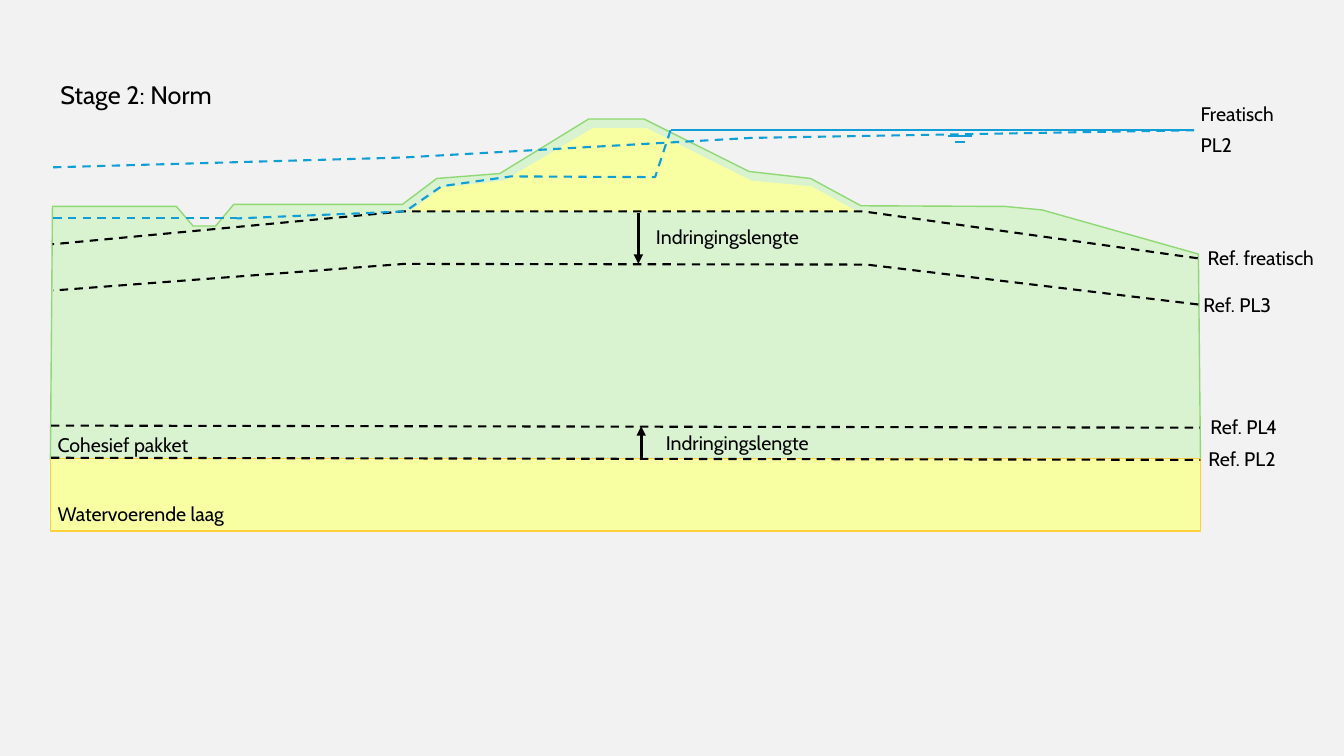
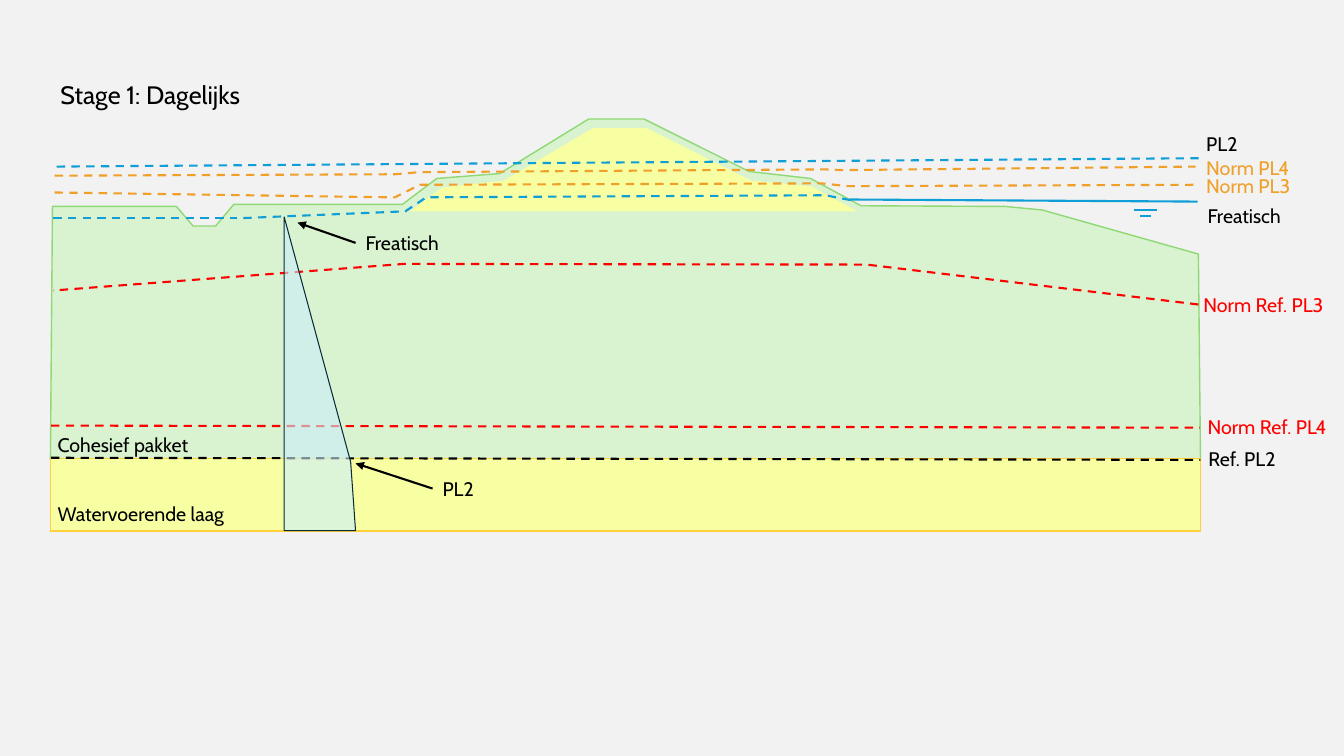
import lxml.etree
import pptx
import pptx.dml.color
import pptx.enum.dml
import pptx.enum.shapes
import pptx.enum.text
import pptx.oxml.ns
import pptx.util

Pt = pptx.util.Pt
RGBColor = pptx.dml.color.RGBColor
qn = pptx.oxml.ns.qn

FONT = "Cabin"
BACKGROUND = RGBColor(0xF2, 0xF2, 0xF2)
BLACK = RGBColor(0x00, 0x00, 0x00)
RED = RGBColor(0xFF, 0x00, 0x00)
ORANGE = RGBColor(0xF0, 0x9F, 0x28)
WATER = RGBColor(0x0F, 0x9E, 0xD5)
CLAY = RGBColor(0xD9, 0xF2, 0xD0)
CLAY_EDGE = RGBColor(0x8E, 0xD9, 0x73)
SAND = RGBColor(0xF8, 0xFF, 0xA3)
SAND_EDGE = RGBColor(0xFF, 0xD0, 0x3B)
PRESSURE = RGBColor(0xCA, 0xEE, 0xFB)
PRESSURE_EDGE = RGBColor(0x09, 0x2A, 0x39)

GROUND = [
    (36, 328.5), (857.5, 328.5), (856, 181.5), (744.5, 150), (718, 147.5),
    (615, 147), (579, 127.5), (535, 122.5), (460, 85), (420.5, 85),
    (357, 124), (312, 127.5), (287.5, 146), (167, 146), (154, 161.5),
    (138, 161.5), (126, 147.5), (37.5, 147.5),
]
DIKE_CORE = [
    (423.5, 91.5), (462, 91.5), (536.5, 129), (579.5, 133),
    (612.5, 151), (293, 151), (315.5, 134), (360, 129),
]
REF_FREATISCH = [(855.5, 184.5), (616.5, 151), (288, 151), (37.5, 174.5)]
REF_PL3 = [(856, 217.5), (619, 189), (288.5, 188.5), (38, 207.5)]
REF_PL4 = [(36.5, 304), (857, 305.5)]
REF_PL2 = [(36.5, 327), (857.5, 328.5)]
DITCH_LEVEL = [(38, 155.5), (169, 155.5)]

NORM_FREATISCH = [
    (479, 93), (468, 126.5), (365, 126), (315.5, 133), (289.5, 151), (169, 156),
]
NORM_PL2 = [(853, 93), (536.5, 98.5), (288, 112.5), (38, 119.5)]

DAILY_FREATISCH = [
    (607.5, 143), (589.5, 139.5), (304.5, 141), (289.5, 151), (169, 156),
]
DAILY_PL2 = [(40.5, 119), (857.5, 113)]
DAILY_NORM_PL3 = [
    (39, 137.5), (282, 141), (300, 132), (587, 131), (605.5, 133), (855.5, 132),
]
DAILY_NORM_PL4 = [
    (39, 125.5), (282, 124.5), (299.5, 123), (589, 121), (602, 121.5), (854, 119),
]
PRESSURE_WEDGE = [(203, 379), (203, 155), (250.5, 330), (254, 379)]


def add_text(slide, text, left, top, width=101.5, height=24.5, size=14,
             color=BLACK, wrap=True):
    box = slide.shapes.add_textbox(Pt(left), Pt(top), Pt(width), Pt(height))
    frame = box.text_frame
    frame.word_wrap = wrap
    frame.auto_size = pptx.enum.text.MSO_AUTO_SIZE.SHAPE_TO_FIT_TEXT
    run = frame.paragraphs[0].add_run()
    run.text = text
    run.font.name = FONT
    run.font.size = Pt(size)
    run.font.color.rgb = color


def format_line(line, color, weight, dashed=False):
    line.color.rgb = color
    line.width = Pt(weight)
    if dashed:
        line.dash_style = pptx.enum.dml.MSO_LINE.DASH


def format_area(shape, fill, edge=None, weight=1, opacity=100):
    shape.shadow.inherit = False
    shape.fill.solid()
    shape.fill.fore_color.rgb = fill
    if opacity < 100:
        color = shape.element.spPr.find(qn("a:solidFill"))[0]
        lxml.etree.SubElement(color, qn("a:alpha"), val=str(opacity * 1000))
    if edge is None:
        shape.line.fill.background()
    else:
        format_line(shape.line, edge, weight)


def build_outline(slide, points, close):
    scaled = [(Pt(x), Pt(y)) for x, y in points]
    builder = slide.shapes.build_freeform(*scaled[0], scale=1.0)
    builder.add_line_segments(scaled[1:], close=close)
    return builder.convert_to_shape()


def add_area(slide, points, fill, edge=None, weight=1, opacity=100):
    shape = build_outline(slide, points, True)
    format_area(shape, fill, edge, weight, opacity)


def add_polyline(slide, points, color):
    shape = build_outline(slide, points, False)
    shape.shadow.inherit = False
    shape.fill.background()
    format_line(shape.line, color, 1.5, dashed=True)


def add_line(slide, points, color=BLACK, weight=1.5, dashed=False, arrow=False):
    (x1, y1), (x2, y2) = points
    connector = slide.shapes.add_connector(
        pptx.enum.shapes.MSO_CONNECTOR.STRAIGHT, Pt(x1), Pt(y1), Pt(x2), Pt(y2))
    format_line(connector.line, color, weight, dashed)
    properties = connector.element.spPr
    if arrow:
        outline = properties.find(qn("a:ln"))
        lxml.etree.SubElement(outline, qn("a:tailEnd"), type="triangle")
    lxml.etree.SubElement(properties, qn("a:effectLst"))


def add_water_mark(slide, left, top):
    add_line(slide, [(left, top), (left + 16.5, top)], WATER)
    add_line(slide, [(left + 4.5, top + 4.5), (left + 12, top + 4.5)], WATER)


def add_cross_section(presentation, title, ref_color):
    slide = presentation.slides.add_slide(presentation.slide_layouts[6])
    add_area(slide, GROUND, CLAY, CLAY_EDGE)
    aquifer = slide.shapes.add_shape(
        pptx.enum.shapes.MSO_SHAPE.RECTANGLE,
        Pt(36), Pt(327.5), Pt(821.5), Pt(52))
    format_area(aquifer, SAND, SAND_EDGE)
    add_area(slide, DIKE_CORE, SAND)
    add_line(slide, REF_PL2, dashed=True)
    add_line(slide, REF_PL4, ref_color, dashed=True)
    add_polyline(slide, REF_PL3, ref_color)
    add_line(slide, DITCH_LEVEL, WATER, dashed=True)
    add_text(slide, title, 36, 53, width=152, height=29, size=18, wrap=False)
    add_text(slide, "Ref. PL2", 856, 315.5)
    add_text(slide, "Watervoerende laag", 34, 355, width=137.5)
    add_text(slide, "Cohesief pakket", 34, 305.5, width=137.5)
    return slide


def add_norm_slide(presentation):
    slide = add_cross_section(presentation, "Stage 2: Norm", BLACK)
    add_polyline(slide, REF_FREATISCH, BLACK)
    add_line(slide, [(456, 152), (456, 188.5)], weight=2.25, arrow=True)
    add_line(slide, [(458, 327.5), (458, 304.5)], weight=2.25, arrow=True)
    add_line(slide, [(479, 93), (853, 93)], WATER)
    add_water_mark(slide, 677.5, 97)
    add_polyline(slide, NORM_PL2, WATER)
    add_polyline(slide, NORM_FREATISCH, WATER)
    for text, left, top in [
        ("Freatisch", 850.5, 69),
        ("PL2", 850.5, 91.5),
        ("Ref. freatisch", 855.5, 172),
        ("Ref. PL3", 852.5, 206),
        ("Ref. PL4", 857.5, 292.5),
    ]:
        add_text(slide, text, left, top)
    for left, top in [(461.5, 157), (468.5, 304.5)]:
        add_text(slide, "Indringingslengte", left, top, width=124.5)


def add_daily_slide(presentation):
    slide = add_cross_section(presentation, "Stage 1: Dagelijks", RED)
    add_line(slide, [(607, 142.5), (855.5, 144)], WATER)
    add_water_mark(slide, 810, 150)
    add_polyline(slide, DAILY_FREATISCH, WATER)
    add_line(slide, DAILY_PL2, WATER, dashed=True)
    add_area(slide, PRESSURE_WEDGE, PRESSURE, PRESSURE_EDGE, 0.75, opacity=60)
    add_line(slide, [(254, 173.5), (212.5, 159)], arrow=True)
    add_line(slide, [(309, 349), (254, 331)], arrow=True)
    add_polyline(slide, DAILY_NORM_PL3, ORANGE)
    add_polyline(slide, DAILY_NORM_PL4, ORANGE)
    for text, left, top, color in [
        ("PL2", 854.5, 90.5, BLACK),
        ("Norm PL4", 854.5, 108, ORANGE),
        ("Norm PL3", 854.5, 121, ORANGE),
        ("Freatisch", 855.5, 142, BLACK),
        ("Norm Ref. PL3", 852.5, 206, RED),
        ("Norm Ref. PL4", 855.5, 292.5, RED),
        ("Freatisch", 254, 161.5, BLACK),
        ("PL2", 309, 337, BLACK),
    ]:
        add_text(slide, text, left, top, color=color)


def main():
    presentation = pptx.Presentation()
    presentation.slide_width = Pt(960)
    presentation.slide_height = Pt(540)
    background = presentation.slide_master.background.fill
    background.solid()
    background.fore_color.rgb = BACKGROUND
    add_norm_slide(presentation)
    add_daily_slide(presentation)
    presentation.save("out.pptx")


if __name__ == "__main__":
    main()
